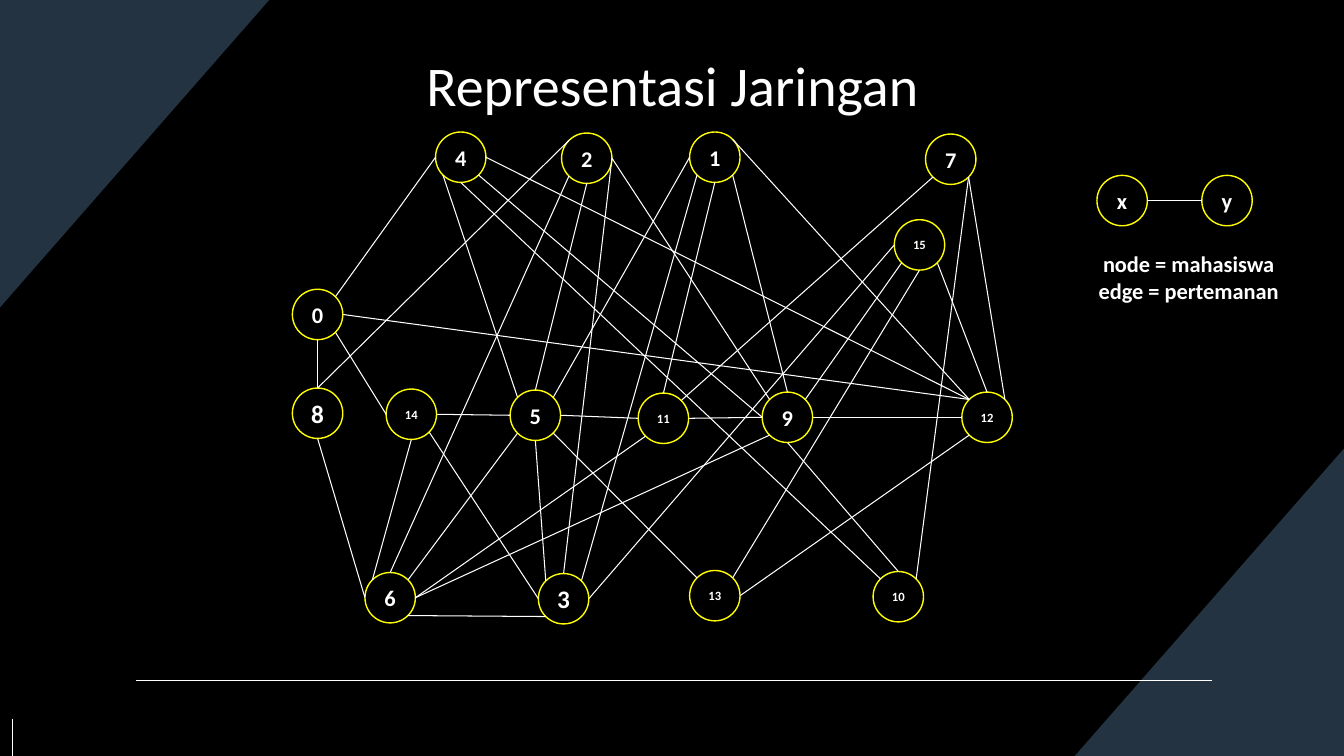
from math import cos, radians, sin

from lxml.etree import SubElement
from pptx import Presentation
from pptx.dml.color import RGBColor
from pptx.enum.shapes import MSO_CONNECTOR as CONNECTOR, MSO_SHAPE as SHAPE
from pptx.enum.text import MSO_ANCHOR as ANCHOR, PP_ALIGN as ALIGN
from pptx.oxml.ns import qn
from pptx.util import Inches, Pt

COLORS = {"black": "000000", "white": "FFFFFF", "yellow": "FFFF00", "navy": "243341"}
FONT = "Calibri"
DIAMETER = 0.5
SITES = ["N", "NW", "W", "SW", "S", "SE", "E", "NE"]

NODES = {
    "4": (4.32, 1.31, 16), "2": (5.57, 1.32, 16), "1": (6.84, 1.31, 16),
    "7": (9.18, 1.33, 16), "15": (8.87, 2.18, 9), "0": (2.9, 2.87, 16),
    "8": (2.9, 3.85, 18), "14": (3.83, 3.86, 9), "5": (5.06, 3.87, 16),
    "11": (6.33, 3.9, 9), "9": (7.56, 3.89, 16), "12": (9.54, 3.89, 9),
    "6": (3.62, 5.68, 16), "3": (5.34, 5.69, 18), "13": (6.84, 5.66, 9),
    "10": (8.66, 5.67, 9), "x": (10.88, 1.74, 16), "y": (11.92, 1.74, 16),
}

EDGES = [
    "0 NE 4 W", "0 E 12 NW", "0 SE 14 W", "0 S 8 N",
    "1 W 5 NE", "1 SW 3 NE", "1 S 11 N", "1 SE 9 N", "1 NE 12 NW",
    "2 NW 8 N", "2 SW 6 N", "2 S 5 N", "2 E 3 N", "2 E 9 NW",
    "3 W 14 SE", "3 SW 6 SE",
    "4 SW 5 NW", "4 S 10 NW", "4 SE 9 W", "4 E 12 NW",
    "5 W 14 E", "5 SW 6 NE", "5 S 3 NW", "5 SE 13 NW", "5 E 11 W",
    "6 W 8 S", "6 NW 14 S",
    "7 SW 11 NE", "7 SE 10 NE", "7 SE 12 NE",
    "9 W 11 E", "9 SW 6 E", "9 S 10 N", "9 E 12 W",
    "11 SW 6 E", "12 SW 13 E",
    "15 W 3 E", "15 SW 9 NE", "15 S 13 NE", "15 SE 12 N",
    "x E y W",
]


def color(name):
    """Return the named colour."""
    return RGBColor.from_string(COLORS[name])


def style_paragraph(paragraph, size, bold):
    """Centre a paragraph and set its font."""
    paragraph.alignment = ALIGN.CENTER
    paragraph.font.name = FONT
    paragraph.font.size = Pt(size)
    paragraph.font.bold = bold
    paragraph.font.color.rgb = color("white")


def add_title(slide, text):
    """Place and format the slide title."""
    title = slide.shapes.title
    title.left, title.top = Inches(1.92), Inches(0.12)
    title.width, title.height = Inches(9.5), Inches(1.1)
    title.text_frame.text = text
    title.text_frame.vertical_anchor = ANCHOR.BOTTOM
    style_paragraph(title.text_frame.paragraphs[0], 40, False)


def add_corner(slide, points):
    """Fill a corner of the slide with a triangle."""
    start, *others = [(Inches(x), Inches(y)) for x, y in points]
    builder = slide.shapes.build_freeform(*start)
    builder.add_line_segments(others)
    shape = builder.convert_to_shape()
    shape.shadow.inherit = False
    shape.fill.solid()
    shape.fill.fore_color.rgb = color("navy")
    shape.line.fill.background()


def add_line(slide, start, end, width):
    """Draw a white straight line between two points."""
    ends = [Inches(value) for value in (*start, *end)]
    line = slide.shapes.add_connector(CONNECTOR.STRAIGHT, *ends)
    line.line.color.rgb = color("white")
    line.line.width = Pt(width)
    SubElement(line._element.spPr, qn("a:effectLst"))
    return line


def add_node(slide, label):
    """Draw a labelled circle and return it."""
    left, top, size = NODES[label]
    shape = slide.shapes.add_shape(
        SHAPE.OVAL, Inches(left), Inches(top), Inches(DIAMETER), Inches(DIAMETER))
    shape.shadow.inherit = False
    shape.fill.background()
    shape.line.color.rgb = color("yellow")
    shape.line.width = Pt(1)
    shape.text_frame.text = label
    shape.text_frame.vertical_anchor = ANCHOR.MIDDLE
    style_paragraph(shape.text_frame.paragraphs[0], size, True)
    return shape


def site_point(label, site):
    """Return the point of a connection site on a node's rim."""
    left, top, _ = NODES[label]
    angle = radians(90 + 45 * SITES.index(site))
    radius = DIAMETER / 2
    return left + radius + radius * cos(angle), top + radius - radius * sin(angle)


def add_edge(slide, circles, edge):
    """Join two nodes at their eight-point circle sites."""
    first, first_site, second, second_site = edge.split()
    line = add_line(
        slide, site_point(first, first_site), site_point(second, second_site), 0.75)
    properties = line._element.nvCxnSpPr.cNvCxnSpPr
    joints = (("a:stCxn", first, first_site), ("a:endCxn", second, second_site))
    for tag, label, site in joints:
        SubElement(properties, qn(tag), id=str(circles[label].shape_id),
                   idx=str(SITES.index(site)))


def add_legend(slide, lines):
    """Add the legend text below the sample edge."""
    box = slide.shapes.add_textbox(Inches(10.62), Inches(2.38), Inches(2.34), Inches(0.74))
    frame = box.text_frame
    frame.word_wrap = True
    frame.margin_top = frame.margin_bottom = Inches(0.1)
    frame.text = "\n".join(lines)
    for paragraph in frame.paragraphs:
        style_paragraph(paragraph, 16, True)


def main():
    """Build and save the network slide."""
    presentation = Presentation()
    presentation.slide_width, presentation.slide_height = Inches(13.33), Inches(7.5)
    slide = presentation.slides.add_slide(presentation.slide_layouts[5])
    slide.background.fill.solid()
    slide.background.fill.fore_color.rgb = color("black")
    add_corner(slide, [(0, 0), (2.67, 0), (0, 3.05)])
    add_corner(slide, [(13.33, 4.45), (13.33, 7.5), (10.66, 7.5)])
    add_title(slide, "Representasi Jaringan")
    add_line(slide, (1.35, 6.75), (12.02, 6.75), 1)
    add_line(slide, (0.12, 7.13), (0.12, 7.5), 0.75)
    circles = {label: add_node(slide, label) for label in NODES}
    for edge in EDGES:
        add_edge(slide, circles, edge)
    add_legend(slide, ["node = mahasiswa", "edge = pertemanan"])
    presentation.save("out.pptx")


if __name__ == "__main__":
    main()
